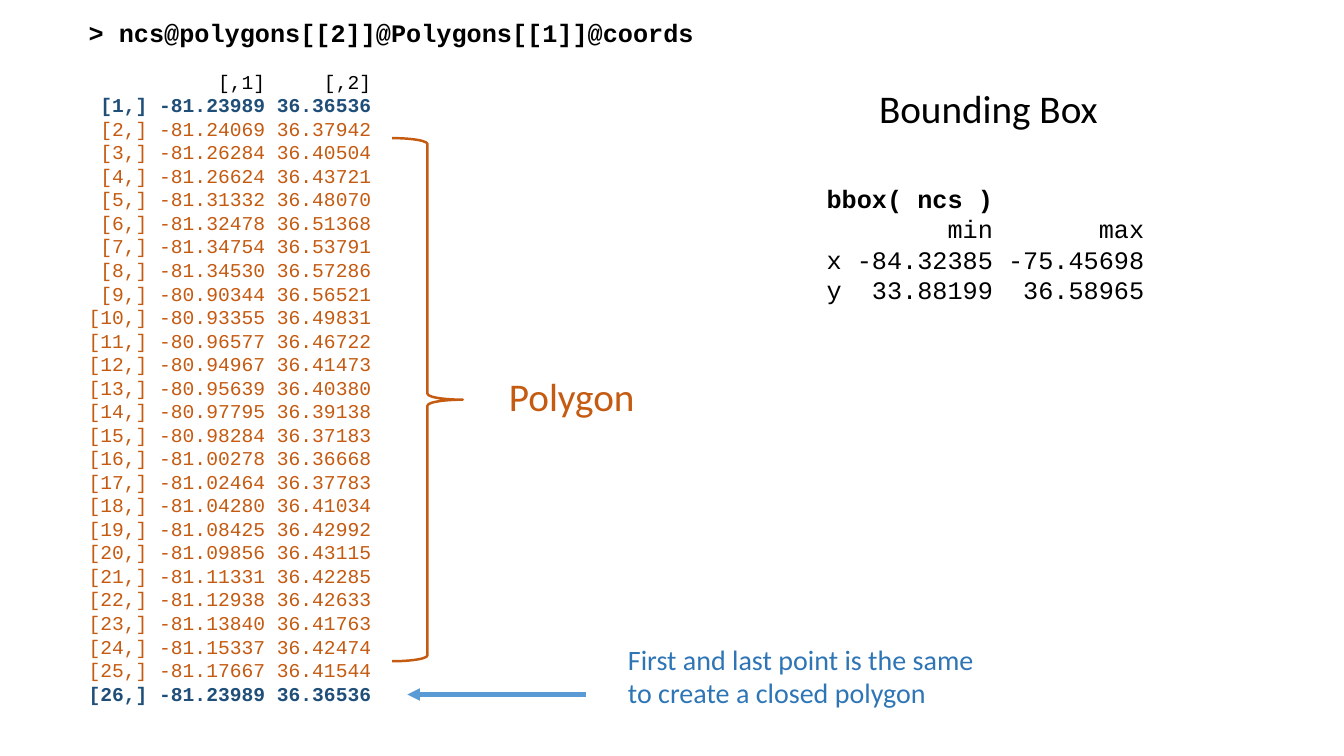
from lxml import etree
from pptx import Presentation
from pptx.dml.color import RGBColor
from pptx.enum.shapes import MSO_CONNECTOR as CONN, MSO_SHAPE as SHAPE
from pptx.enum.text import MSO_AUTO_SIZE as AUTO
from pptx.oxml.ns import qn
from pptx.util import Pt

PX = 9144
BLACK = RGBColor(0x00, 0x00, 0x00)
NAVY = RGBColor(0x1F, 0x4E, 0x79)
ORANGE = RGBColor(0xC5, 0x5A, 0x11)
BLUE = RGBColor(0x2E, 0x75, 0xB6)
SKY = RGBColor(0x5B, 0x9B, 0xD5)
CODE, SANS = "Courier New", "Calibri"
COORDS = (
    (-81.23989, 36.36536), (-81.24069, 36.37942), (-81.26284, 36.40504),
    (-81.26624, 36.43721), (-81.31332, 36.48070), (-81.32478, 36.51368),
    (-81.34754, 36.53791), (-81.34530, 36.57286), (-80.90344, 36.56521),
    (-80.93355, 36.49831), (-80.96577, 36.46722), (-80.94967, 36.41473),
    (-80.95639, 36.40380), (-80.97795, 36.39138), (-80.98284, 36.37183),
    (-81.00278, 36.36668), (-81.02464, 36.37783), (-81.04280, 36.41034),
    (-81.08425, 36.42992), (-81.09856, 36.43115), (-81.11331, 36.42285),
    (-81.12938, 36.42633), (-81.13840, 36.41763), (-81.15337, 36.42474),
    (-81.17667, 36.41544), (-81.23989, 36.36536),
)
BBOX = (("x", -84.32385, -75.45698), ("y", 33.88199, 36.58965))


def px(*lengths):
    """Turn pixel lengths into EMU."""
    return [n * PX for n in lengths]


def style(size, name=CODE, color=BLACK, bold=False):
    """Return the format values of a run."""
    return {"size": Pt(size), "name": name, "bold": bold, "color": color}


def add_text(s, box, lines, wrap=False, gap=0):
    """Add a text box of (text, style) lines, with a gap in points below the first."""
    tf = s.shapes.add_textbox(*px(*box)).text_frame
    tf.word_wrap = wrap
    tf.auto_size = AUTO.SHAPE_TO_FIT_TEXT
    for i, (text, fmt) in enumerate(lines):
        p = tf.paragraphs[0] if i == 0 else tf.add_paragraph()
        p.text = text
        for r in p.runs:
            for key, value in fmt.items():
                if key == "color":
                    r.font.color.rgb = value
                else:
                    setattr(r.font, key, value)
    tf.paragraphs[0].space_after = Pt(gap)


def add_brace(s, box, color):
    """Add an unfilled right brace."""
    sp = s.shapes.add_shape(SHAPE.RIGHT_BRACE, *px(*box))
    sp.shadow.inherit = False
    sp.fill.background()
    sp.line.color.rgb = color
    sp.line.width = Pt(1.75)


def add_arrow(s, ends, color):
    """Add a straight line with an arrowhead at its end."""
    cxn = s.shapes.add_connector(CONN.STRAIGHT, *px(*ends))
    cxn.line.color.rgb = color
    cxn.line.width = Pt(3)
    etree.SubElement(cxn.line._get_or_add_ln(), qn("a:tailEnd"), type="triangle")
    etree.SubElement(cxn._element.spPr, qn("a:effectLst"))


def coord_lines():
    """Return the printed coordinate matrix, with the closing point set off."""
    plain, closing = style(14, color=ORANGE), style(14, color=NAVY, bold=True)
    lines = [("> ncs@polygons[[2]]@Polygons[[1]]@coords", style(18, bold=True)),
             (f"{'[,1]':>15}{'[,2]':>9}", style(14))]
    for i, (x, y) in enumerate(COORDS, 1):
        label = f"[{i},]"
        fmt = closing if (x, y) == COORDS[0] else plain
        lines.append((f"{label:>5} {x:.5f} {y:.5f}", fmt))
    return lines


def bbox_lines():
    """Return the printed bounding box."""
    lines = [("bbox( ncs )", style(18, bold=True)),
             (f"{'min':>11}{'max':>10}", style(18))]
    lines += [(f"{axis} {low:9.5f} {high:9.5f}", style(18)) for axis, low, high in BBOX]
    return lines


def main():
    """Build the slide and save it."""
    prs = Presentation()
    prs.slide_width, prs.slide_height = px(1333, 750)
    s = prs.slides.add_slide(prs.slide_layouts[6])
    add_text(s, (78, 12, 667, 700), coord_lines(), wrap=True, gap=16)
    add_text(s, (495, 364, 156, 57), [("Polygon", style(28, SANS, ORANGE))])
    add_text(s, (862, 79, 249, 57), [("Bounding Box", style(28, SANS))])
    add_brace(s, (389, 137, 70, 519), ORANGE)
    add_text(s, (810, 177, 667, 131), bbox_lines(), wrap=True)
    add_arrow(s, (581, 689, 404, 689), SKY)
    add_text(s, (613, 632, 373, 77),
             [("First and last point is the same \vto create a closed polygon",
               style(20, SANS, BLUE))])
    prs.save("out.pptx")


if __name__ == "__main__":
    main()
